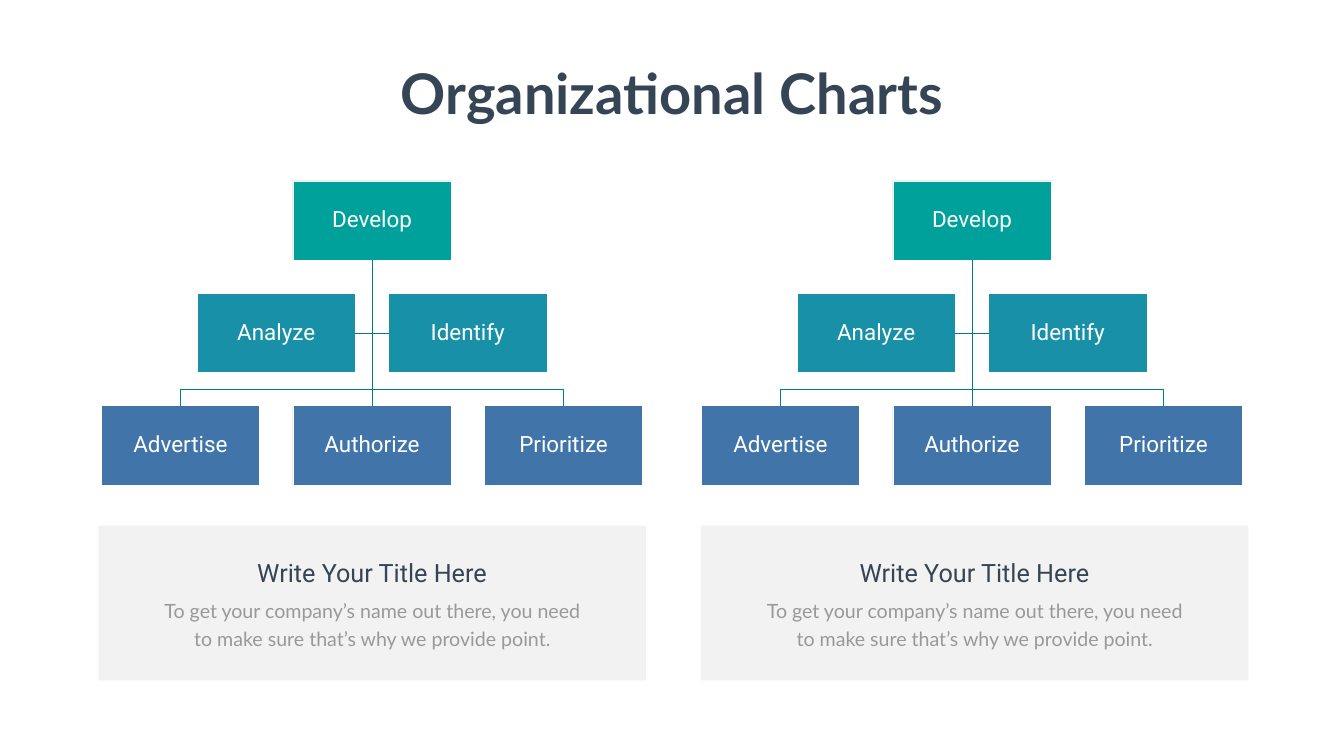
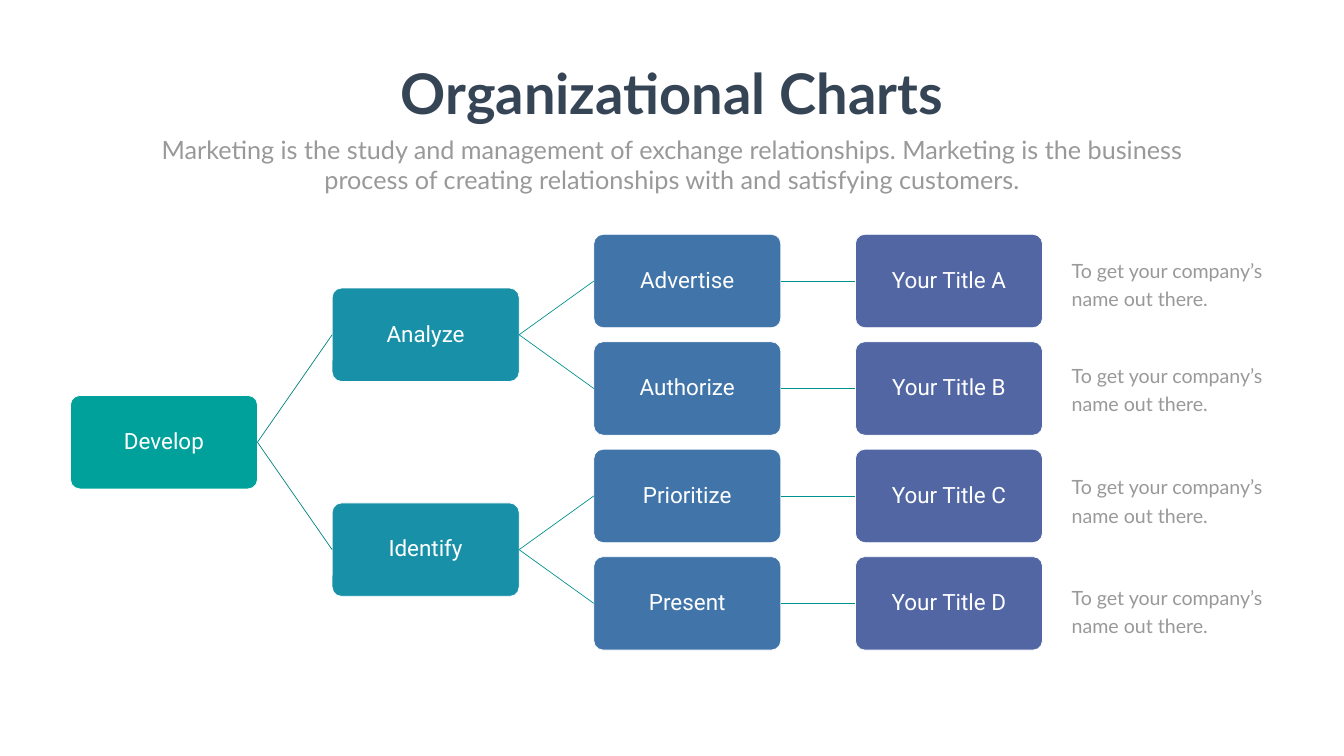
from lxml import etree
from pptx import Presentation
from pptx.dml.color import RGBColor
from pptx.enum.shapes import MSO_CONNECTOR as CONN, MSO_SHAPE as SHAPE
from pptx.enum.text import MSO_ANCHOR as ANCHOR, MSO_AUTO_SIZE as FIT, PP_ALIGN as ALIGN
from pptx.oxml.ns import qn
from pptx.util import Pt

# Shared colours and fonts
rgb = RGBColor.from_string
TEAL, CYAN, BLUE, INDIGO = "00A19B", "1891A8", "4175AA", "5166A3"
WHITE, DARK, GREY = "FFFFFF", "364556", "999999"
DARK_LINE, LIGHT_LINE = "00817C", "00928D"
HEAD, BODY = "Roboto", "Lato"


def write(shape, text, size, font, colour, para=None, frame=None, bold=False):
    """Fill a shape with one formatted paragraph."""
    tf = shape.text_frame
    tf_format = dict(word_wrap=True, auto_size=FIT.SHAPE_TO_FIT_TEXT, vertical_anchor=ANCHOR.TOP)
    for name, value in {**tf_format, **(frame or {})}.items():
        setattr(tf, name, value)
    p = tf.paragraphs[0]
    for name, value in {"alignment": ALIGN.CENTER, **(para or {})}.items():
        setattr(p, name, value)
    r = p.add_run()
    r.text = text
    for name, value in dict(size=Pt(size), name=font, bold=bold).items():
        setattr(r.font, name, value)
    r.font.color.rgb = rgb(colour)


def add_box(s, kind, text, fill, cx, cy, w, h):
    """Add a labelled chart box around its centre."""
    sp = s.shapes.add_shape(kind, Pt(cx - w / 2), Pt(cy - h / 2), Pt(w), Pt(h))
    sp.shadow.inherit = False
    sp.fill.solid()
    sp.fill.fore_color.rgb = rgb(fill)
    sp.line.color.rgb = rgb(WHITE)
    sp.line.width = Pt(1)
    inset = Pt(1.44)
    write(sp, text, 32, HEAD, WHITE,
          para=dict(line_spacing=0.9, space_after=Pt(11.2)),
          frame=dict(auto_size=FIT.NONE, vertical_anchor=ANCHOR.MIDDLE, margin_left=inset,
                     margin_right=inset, margin_top=inset, margin_bottom=inset))
    return sp


prs = Presentation()
prs.slide_width, prs.slide_height = Pt(1919.52), Pt(1080)
tree_slide = prs.slides.add_slide(prs.slide_layouts[5])
flow_slide = prs.slides.add_slide(prs.slide_layouts[1])
lines = []  # (line shape, colour), styled together at the end

# Title on both slides
for s in (tree_slide, flow_slide):
    title = s.shapes.title
    title.left, title.top, title.width, title.height = Pt(554.4), Pt(80.6), Pt(810.7), Pt(104.4)
    write(title, "Organizational Charts", 80, BODY, DARK, frame=dict(word_wrap=False), bold=True)

# Slide 1: two trees, each above a text card
s = tree_slide
BOX_W, BOX_H, STEP_X, STEP_Y, TOP_Y = 226, 113, 273.6, 160.6, 315
TREE = [
    ("Develop", TEAL, 0, 0),
    ("Analyze", CYAN, -0.5, 1), ("Identify", CYAN, 0.5, 1),
    ("Advertise", BLUE, -1, 2), ("Authorize", BLUE, 0, 2), ("Prioritize", BLUE, 1, 2),
]
for cx, card_x in ((531.4, 140.4), (1388.2, 1000.8)):
    boxes = {}
    for text, fill, col, row in TREE:
        boxes[text] = add_box(s, SHAPE.RECTANGLE, text, fill, cx + col * STEP_X,
                              TOP_Y + row * STEP_Y, BOX_W, BOX_H)

    # Trunk and branches
    trunk = s.shapes.add_connector(CONN.STRAIGHT, 0, 0, 0, 0)
    trunk.begin_connect(boxes["Develop"], 2)
    trunk.end_connect(boxes["Authorize"], 0)
    lines.append((trunk, DARK_LINE))
    start_y = TOP_Y + BOX_H / 2
    mid_y = TOP_Y + STEP_Y
    leaf_y = TOP_Y + 2 * STEP_Y - BOX_H / 2
    bar_y = leaf_y - 23.8
    for side in (-1, 1):
        inner_x = cx + side * (STEP_X - BOX_W) / 2
        outer_x = cx + side * STEP_X
        for points in ([(cx, mid_y), (inner_x, mid_y)],
                       [(cx, bar_y), (outer_x, bar_y), (outer_x, leaf_y)]):
            builder = s.shapes.build_freeform(Pt(cx), Pt(start_y))
            builder.add_line_segments([(Pt(x), Pt(y)) for x, y in points], close=False)
            branch = builder.convert_to_shape()
            branch.fill.background()
            lines.append((branch, DARK_LINE))

    # Card
    card = s.shapes.add_shape(SHAPE.RECTANGLE, Pt(card_x), Pt(751), Pt(782), Pt(221))
    card.shadow.inherit = False
    card.line.fill.background()
    card.fill.solid()
    card.fill.fore_color.rgb = rgb("808080")
    card_colour = card._element.spPr.find(".//" + qn("a:srgbClr"))
    etree.SubElement(card_colour, qn("a:alpha")).set("val", "10000")
    body = s.shapes.add_textbox(Pt(card_x + 79.2), Pt(844.6), Pt(624.2), Pt(85.7))
    write(body, "To get your company’s name out there, you need to make sure that’s why "
          "we provide point.", 28, BODY, GREY, para=dict(line_spacing=Pt(40.8)))
    head = s.shapes.add_textbox(Pt(card_x + 185), Pt(792.7), Pt(412), Pt(51))
    write(head, "Write Your Title Here", 36, HEAD, DARK)

# Slide 2: subtitle
s = flow_slide
sub = s.placeholders[1]
sub.left, sub.top, sub.width, sub.height = Pt(210.2), Pt(188), Pt(1499), Pt(94.3)
pPr = sub.text_frame.paragraphs[0]._p.get_or_add_pPr()
pPr.set("marL", "0")
pPr.set("indent", "0")
etree.SubElement(pPr, qn("a:buNone"))
write(sub, "Marketing is the study and management of exchange relationships. Marketing is the "
      "business process of creating relationships with and satisfying customers.",
      36, BODY, GREY, para=dict(space_before=Pt(0)))

# Boxes by column and row, each joined to its parent
FLOW = [
    ("Develop", TEAL, 0, 1.5, None),
    ("Analyze", CYAN, 1, 0.5, "Develop"), ("Identify", CYAN, 1, 2.5, "Develop"),
    ("Advertise", BLUE, 2, 0, "Analyze"), ("Authorize", BLUE, 2, 1, "Analyze"),
    ("Prioritize", BLUE, 2, 2, "Identify"), ("Present", BLUE, 2, 3, "Identify"),
    ("Your Title A", INDIGO, 3, 0, "Advertise"), ("Your Title B", INDIGO, 3, 1, "Authorize"),
    ("Your Title C", INDIGO, 3, 2, "Prioritize"), ("Your Title D", INDIGO, 3, 3, "Present"),
]
boxes = {}
for text, fill, col, row, parent in FLOW:
    boxes[text] = add_box(s, SHAPE.ROUNDED_RECTANGLE, text, fill, 234.2 + col * 373.7,
                          401.5 + row * 153.5, 267, 133.4)
    boxes[text].adjustments[0] = 0.1
    if parent:
        link = s.shapes.add_connector(CONN.STRAIGHT, 0, 0, 0, 0)
        link.begin_connect(boxes[parent], 3)
        link.end_connect(boxes[text], 1)
        lines.append((link, DARK_LINE if parent == "Develop" else LIGHT_LINE))

# Captions on the right
for top in (358.6, 509, 668.2, 825.8):
    caption = s.shapes.add_textbox(Pt(1523.5), Pt(top), Pt(296), Pt(85.7))
    write(caption, "To get your company’s name out there.", 28, BODY, GREY,
          para=dict(alignment=ALIGN.LEFT, line_spacing=Pt(40.8)))

# Line style
for line, colour in lines:
    line.line.color.rgb = rgb(colour)
    line.line.width = Pt(1)
    etree.SubElement(line._element.spPr, qn("a:effectLst"))

prs.save("out.pptx")
